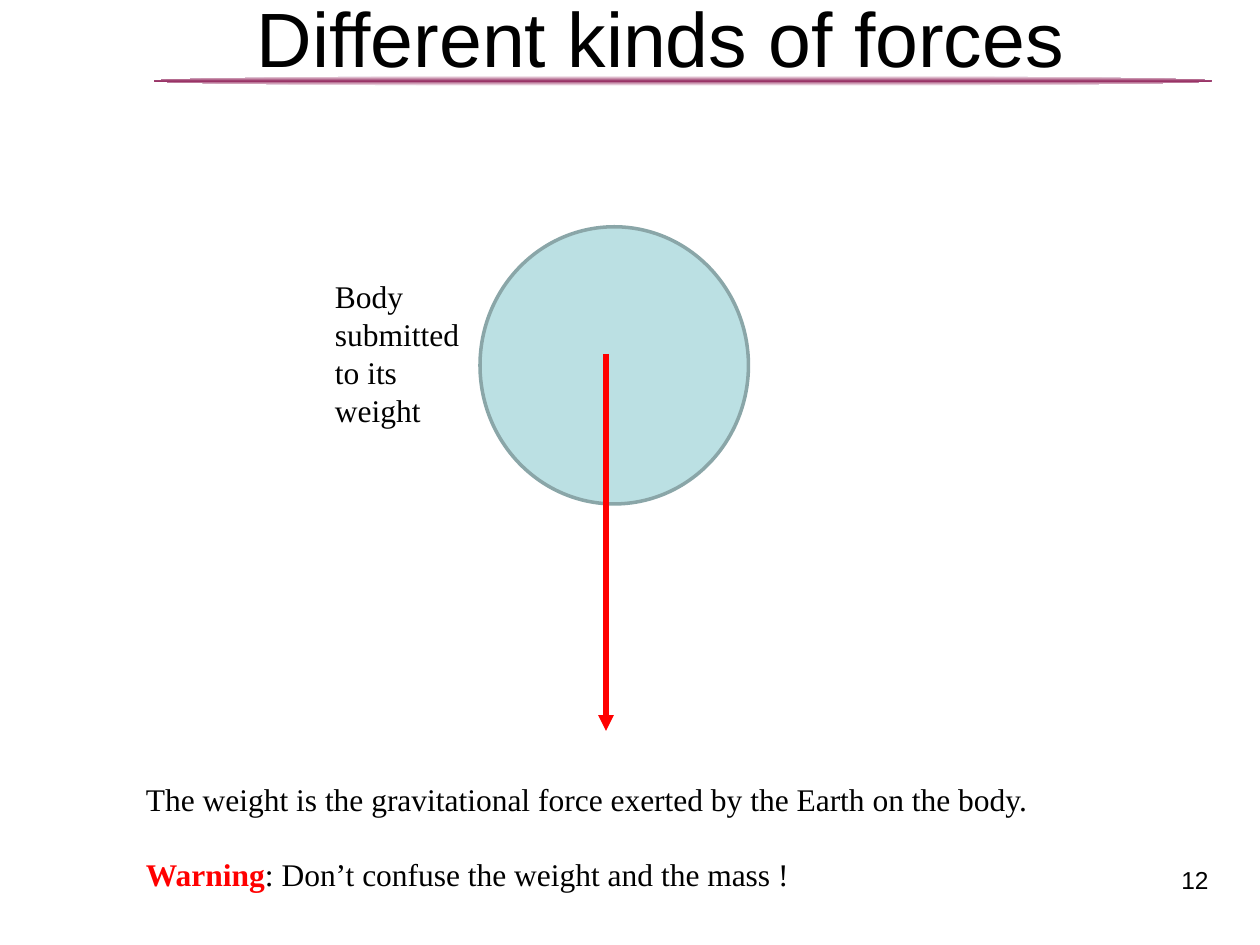
from copy import deepcopy

from pptx import Presentation
from pptx.dml.color import RGBColor
from pptx.enum import shapes, text
from pptx.oxml import ns, xmlchemy
from pptx.util import Pt

BLACK = RGBColor(0x00, 0x00, 0x00)
WHITE = RGBColor(0xFF, 0xFF, 0xFF)
RED = RGBColor(0xFF, 0x00, 0x00)
PLUM = RGBColor(0x99, 0x33, 0x66)
PALE_TEAL = RGBColor(0xBB, 0xE0, 0xE3)
GREY_TEAL = RGBColor(0x8A, 0xA6, 0xA8)
SANS, SERIF = "Arial", "Times New Roman"
LEADING = 21.6


def add_text_frame(s, left, top, width, height):
    tf = s.shapes.add_textbox(Pt(left), Pt(top), Pt(width), Pt(height)).text_frame
    tf.word_wrap = True
    tf.vertical_anchor = text.MSO_ANCHOR.TOP
    return tf


def style(p, font, size, align=text.PP_ALIGN.LEFT):
    p.alignment = align
    p.font.name = font
    p.font.size = Pt(size)
    p.font.color.rgb = BLACK


def style_body(p):
    style(p, SERIF, 18)
    p.line_spacing = Pt(LEADING)


def add_ellipse(s, left, top, width, height):
    sp = s.shapes.add_shape(shapes.MSO_SHAPE.OVAL, Pt(left), Pt(top), Pt(width), Pt(height))
    sp.shadow.inherit = False
    return sp


def add_header(s, left, top, width, height):
    rule = add_ellipse(s, left + 28, top + 57, 604.8, 5.8)
    rule.line.fill.background()
    rule.fill.gradient()
    rule.fill.gradient_angle = 90
    stop_list = rule._element.spPr.find(".//" + ns.qn("a:gsLst"))
    stop_list.insert(1, deepcopy(stop_list[0]))
    for stop, position, color in zip(rule.fill.gradient_stops, (0, 0.5, 1), (WHITE, PLUM, WHITE)):
        stop.position = position
        stop.color.rgb = color

    tf = add_text_frame(s, left, top, width, height)
    tf.margin_top = Pt(8)
    p = tf.paragraphs[0]
    p.text = "Different kinds of forces "
    style(p, SANS, 44, text.PP_ALIGN.CENTER)


def add_page_number(s, left, top, width, height):
    p = add_text_frame(s, left, top, width, height).paragraphs[0]
    p.text = "12"
    style(p, SANS, 14, text.PP_ALIGN.RIGHT)


def add_weight_diagram(s, left, top, width, height):
    body_width = 153.4
    body = add_ellipse(s, left + width - body_width, top, body_width, 158.4)
    body.fill.solid()
    body.fill.fore_color.rgb = PALE_TEAL
    body.line.color.rgb = GREY_TEAL
    body.line.width = Pt(2)

    x = left + 162
    weight = s.shapes.add_connector(
        shapes.MSO_CONNECTOR.STRAIGHT, Pt(x), Pt(top + 72.7), Pt(x), Pt(top + height))
    weight.line.color.rgb = RED
    weight.line.width = Pt(3)
    head = xmlchemy.OxmlElement("a:tailEnd")
    head.set("type", "triangle")
    weight.line._get_or_add_ln().append(head)
    weight._element.spPr.append(xmlchemy.OxmlElement("a:effectLst"))

    p = add_text_frame(s, left, top + 25.2, 87.8, 94.3).paragraphs[0]
    p.text = "Body submitted to its weight"
    style_body(p)


def add_explanation(s, left, top, width, height):
    tf = add_text_frame(s, left, top, width, height)
    p = tf.paragraphs[0]
    p.text = "The weight is the gravitational force exerted by the Earth on the body."
    style_body(p)

    p = tf.add_paragraph()
    style_body(p)
    p.space_before = Pt(LEADING)
    r = p.add_run()
    r.text = "Warning"
    r.font.bold = True
    r.font.color.rgb = RED
    p.add_run().text = ": Don’t confuse the weight and the mass !"


def main():
    prs = Presentation()
    prs.slide_width, prs.slide_height = Pt(720), Pt(540)
    s = prs.slides.add_slide(prs.slide_layouts[6])
    add_header(s, 59.8, -13.7, 648, 90)
    add_page_number(s, 529.9, 491, 167.8, 32.4)
    add_weight_diagram(s, 184.3, 129.6, 243.4, 288)
    add_explanation(s, 76.3, 442.1, 621.4, 72.7)
    prs.save("out.pptx")


if __name__ == "__main__":
    main()
